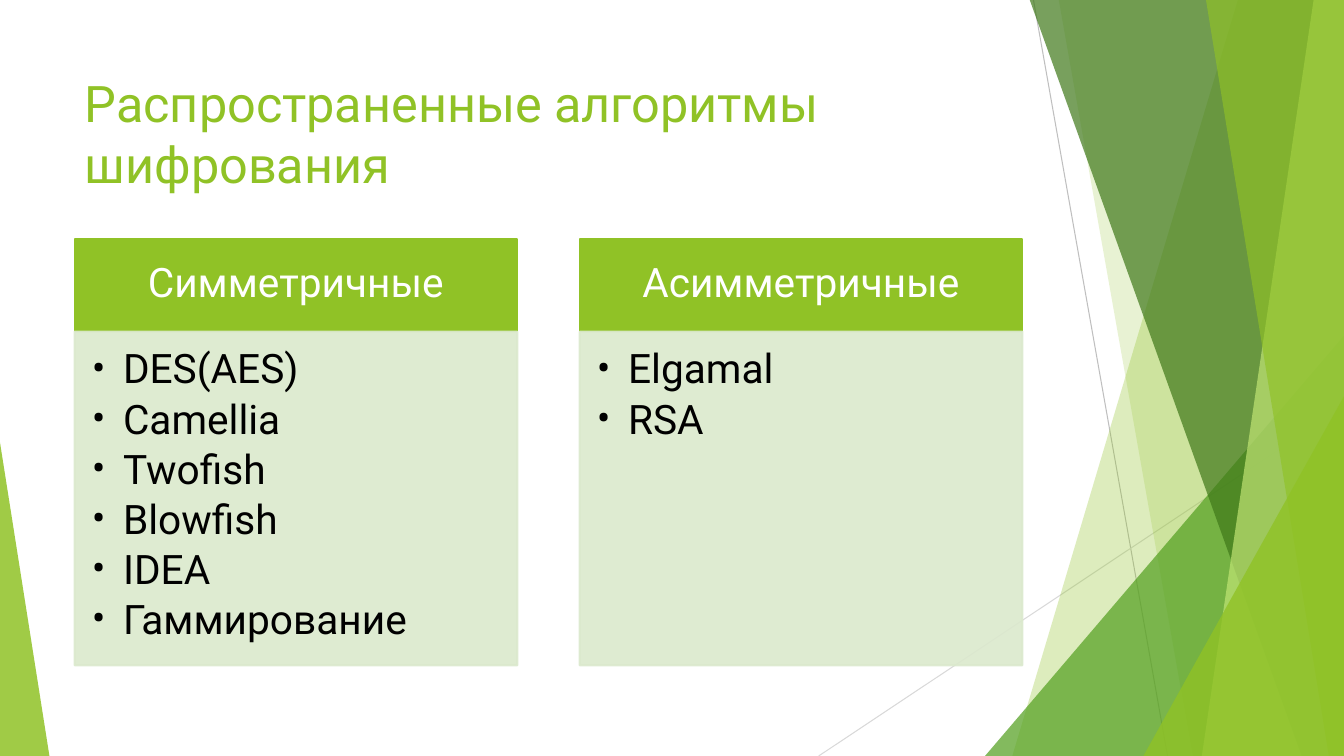
from pptx import Presentation
from pptx.dml.color import RGBColor
from pptx.enum.shapes import MSO_CONNECTOR as Connector, MSO_SHAPE as Shape
from pptx.enum.text import MSO_ANCHOR as Anchor, PP_ALIGN as Align
from pptx.oxml.ns import qn
from pptx.util import Inches, Pt
from lxml.etree import SubElement

COLORS = {
    "lime": "90C226", "green": "54A021", "forest": "3F7819", "light": "C0E474",
    "pale": "DBE9CD", "gray": "BFBFBF", "silver": "D9D9D9",
    "white": "FFFFFF", "black": "000000",
}
TOP, BOTTOM, RIGHT = -0.01, 7.5, 13.33
HEADER_FRAME = {
    "word_wrap": True, "vertical_anchor": Anchor.MIDDLE,
    "margin_left": Inches(0.23), "margin_top": Inches(0.13),
    "margin_right": Inches(0.23), "margin_bottom": Inches(0.13),
}
LIST_FRAME = {
    "word_wrap": True, "vertical_anchor": Anchor.TOP,
    "margin_left": Inches(0.17), "margin_top": Inches(0.17),
    "margin_right": Inches(0.23), "margin_bottom": Inches(0.25),
}
HEADER_PARAGRAPH = {"alignment": Align.CENTER, "line_spacing": 0.9}
LIST_PARAGRAPH = {"alignment": Align.LEFT, "line_spacing": 0.9, "space_after": Pt(4.5)}


def rgb(color):
    return RGBColor.from_string(COLORS[color])


def apply(target, values):
    for name, value in values.items():
        setattr(target, name, value)


class SlideBuilder:
    """Draws styled elements on the current slide."""

    def __init__(self, slide, font="Roboto"):
        self.slide = slide
        self.shapes = slide.shapes
        self.font = font

    def style(self, shape, color, opacity, outline=None):
        shape.shadow.inherit = False
        shape.fill.solid()
        shape.fill.fore_color.rgb = rgb(color)
        if outline:
            shape.line.color.rgb = rgb(color)
            shape.line.width = Pt(outline)
        else:
            shape.line.fill.background()
        if opacity < 100:
            for tint in shape._element.spPr.iter(qn("a:srgbClr")):
                SubElement(tint, qn("a:alpha"), val=str(opacity * 1000))

    def label(self, paragraph, text, size, color, values):
        apply(paragraph, values)
        run = paragraph.add_run()
        run.text = text
        apply(run.font, {"name": self.font, "size": Pt(size)})
        run.font.color.rgb = rgb(color)

    def title(self, text, box):
        title = self.shapes.title
        apply(title, dict(zip(("left", "top", "width", "height"), map(Inches, box))))
        apply(title.text_frame, {"word_wrap": True, "vertical_anchor": Anchor.TOP})
        self.label(title.text_frame.paragraphs[0], text, 36, "lime", {"alignment": Align.LEFT})

    def line(self, start, end, color):
        line = self.shapes.add_connector(Connector.STRAIGHT, *map(Inches, start + end))
        line.line.color.rgb = rgb(color)
        line.line.width = Pt(0.75)
        SubElement(line._element.spPr, qn("a:effectLst"))

    def facet(self, top_x, bottom_x, color, opacity):
        corners = [(top_x, TOP), (RIGHT, TOP), (RIGHT, BOTTOM), (bottom_x, BOTTOM)]
        start, *rest = [(Inches(x), Inches(y)) for x, y in corners]
        outline = self.shapes.build_freeform(*start, scale=1.0)
        outline.add_line_segments(rest, close=True)
        self.style(outline.convert_to_shape(), color, opacity)

    def triangle(self, box, apex, color, opacity):
        triangle = self.shapes.add_shape(Shape.ISOSCELES_TRIANGLE, *map(Inches, box))
        triangle.adjustments[0] = apex
        self.style(triangle, color, opacity)

    def panel(self, box, color, opacity, frame_values):
        panel = self.shapes.add_shape(Shape.RECTANGLE, *map(Inches, box))
        self.style(panel, color, opacity, 1.5)
        apply(panel.text_frame, frame_values)
        return panel.text_frame

    def bullet(self, paragraph, text):
        self.label(paragraph, text, 29, "black", LIST_PARAGRAPH)
        properties = paragraph._p.get_or_add_pPr()
        properties.set("marL", str(Inches(0.31)))
        properties.set("indent", str(-Inches(0.31)))
        SubElement(properties, qn("a:buFont"), typeface=self.font)
        SubElement(properties, qn("a:buChar"), char="•")

    def column(self, left, heading, algorithms):
        header = self.panel((left, 2.37, 4.39, 0.91), "lime", 100, HEADER_FRAME)
        self.label(header.paragraphs[0], heading, 29, "white", HEADER_PARAGRAPH)
        body = self.panel((left, 3.29, 4.39, 3.31), "pale", 90, LIST_FRAME)
        for index, algorithm in enumerate(algorithms):
            paragraph = body.add_paragraph() if index else body.paragraphs[0]
            self.bullet(paragraph, algorithm)


def main():
    deck = Presentation()
    apply(deck, {"slide_width": Inches(RIGHT), "slide_height": Inches(BOTTOM)})
    builder = SlideBuilder(deck.slides.add_slide(deck.slide_layouts[5]))

    builder.line((10.25, 0), (11.58, BOTTOM), "gray")
    builder.line((RIGHT, 4.03), (8.12, BOTTOM), "silver")
    builder.facet(12.28, 10.04, "lime", 30)
    builder.facet(10.5, 11.83, "lime", 20)
    builder.triangle((9.77, 3.33, 3.56, 4.17), 1, "green", 72)
    builder.facet(10.21, 12.91, "forest", 70)
    builder.facet(13.03, 11.92, "light", 70)
    builder.facet(11.96, 13.18, "lime", 65)
    builder.triangle((11.34, 3.93, 1.99, 3.57), 1, "lime", 80)
    builder.triangle((0, 4.39, 0.49, 3.11), 0, "lime", 85)

    builder.title("Распространенные алгоритмы шифрования", (0.74, 0.67, 9.4, 1.44))
    columns = {
        "Симметричные": ["DES(AES)", "Camellia", "Twofish", "Blowfish", "IDEA", "Гаммирование"],
        "Асимметричные": ["Elgamal", "RSA"],
    }
    for index, (heading, algorithms) in enumerate(columns.items()):
        builder.column(0.74 + index * 5.01, heading, algorithms)
    deck.save("out.pptx")


if __name__ == "__main__":
    main()
